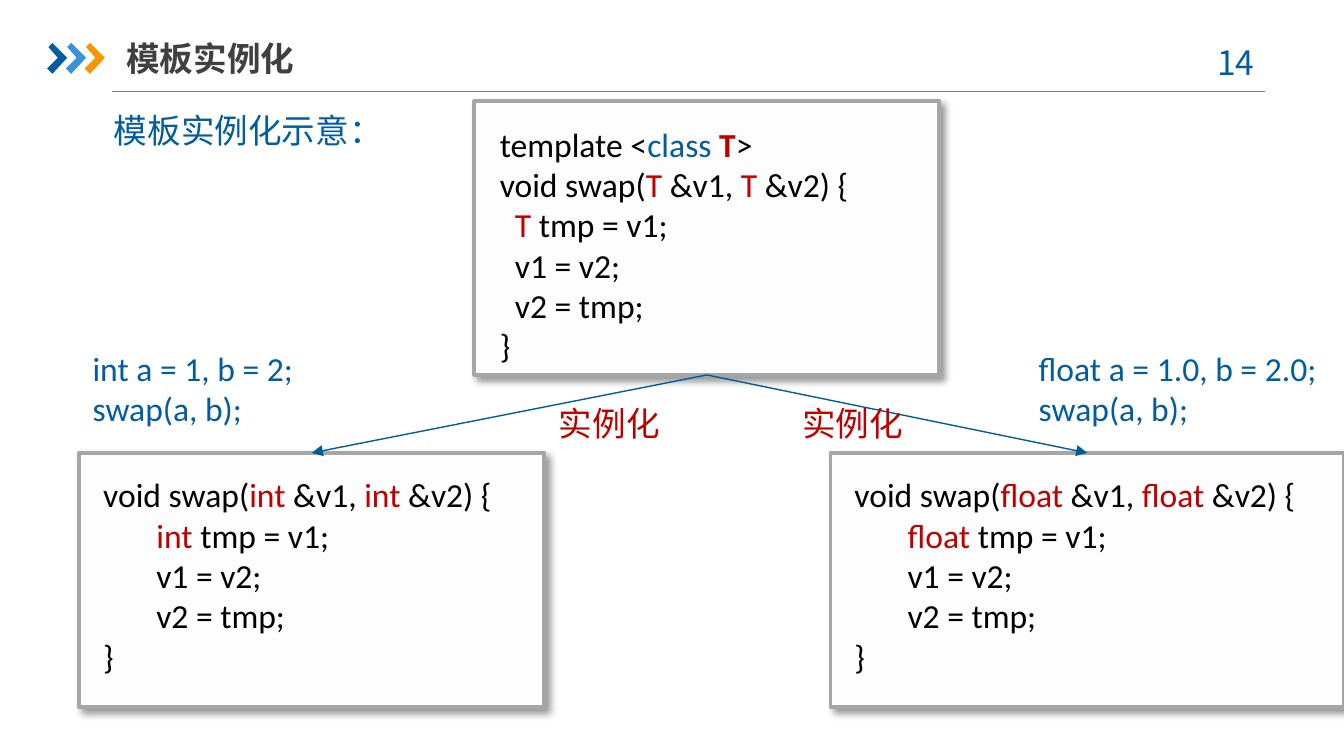
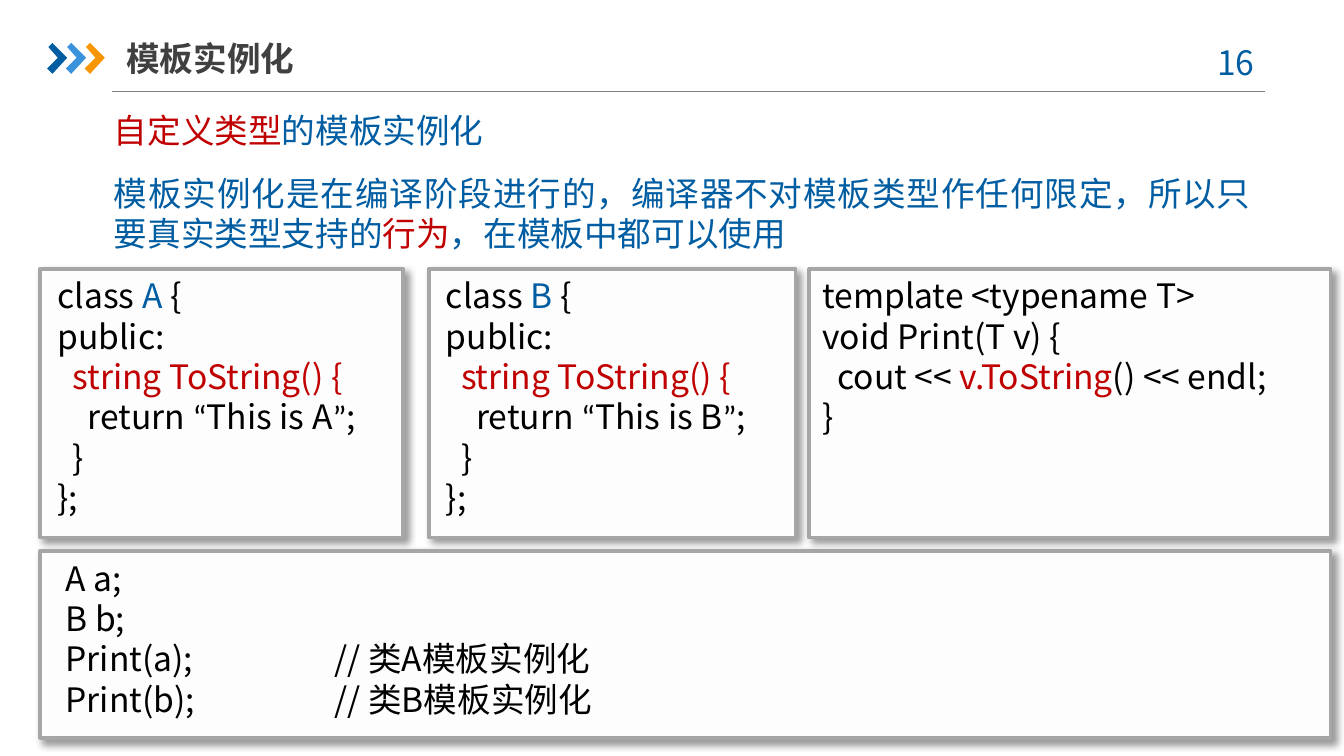
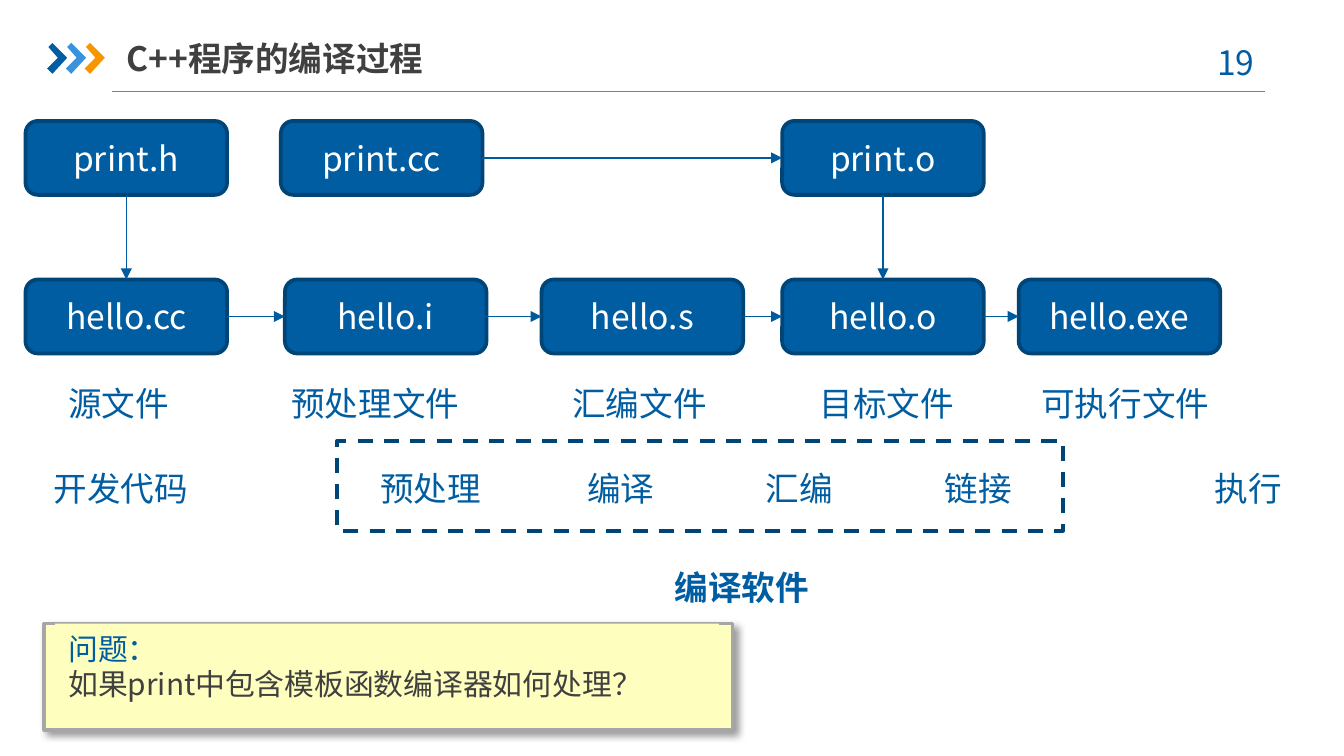
from lxml.etree import SubElement
from pptx import Presentation
from pptx.dml.color import RGBColor
from pptx.enum.dml import MSO_LINE
from pptx.enum.shapes import MSO_CONNECTOR, MSO_SHAPE
from pptx.enum.text import MSO_ANCHOR, PP_ALIGN
from pptx.oxml.ns import qn
from pptx.util import Inches, Pt

COLORS = {
    "blue": "005DA2", "sky": "3992DB", "orange": "F79600", "navy": "004578",
    "arrow": "005B9E", "red": "C00000", "black": "000000", "white": "FFFFFF",
    "title": "404040", "rule": "808080", "paper": "FDFDFD", "border": "A6A6A6",
    "note": "FEFFBE",
}
SANS = "Noto Sans CJK SC"
CODE = "Calibri"
TOP, LEFT, BOTTOM, RIGHT = range(4)


def rgb(name):
    """Return the named colour."""
    return RGBColor.from_string(COLORS[name])


def emu(box):
    """Convert a sequence of inches to lengths."""
    return [Inches(v) for v in box]


def red(text, **fmt):
    """Return a red run."""
    return text, {"color": "red", **fmt}


def blue(text):
    """Return a blue run."""
    return text, {"color": "blue"}


def quote(mark):
    """Return a quotation mark in the code font."""
    return mark, {"font": CODE}


def style_run(r, size=18, font=SANS, color="blue", bold=False):
    """Set the character format of a run."""
    r.font.size, r.font.name, r.font.bold = Pt(size), font, bold
    r.font.color.rgb = rgb(color)
    SubElement(r.font._element, qn("a:ea")).set("typeface", font)


def add_tabs(p, stops):
    """Set left tab stops on a paragraph."""
    tabs = SubElement(p._p.get_or_add_pPr(), qn("a:tabLst"))
    for stop in stops:
        SubElement(tabs, qn("a:tab"), pos=str(Inches(stop)), algn="l")


def write(sp, paras, align=PP_ALIGN.LEFT, anchor=MSO_ANCHOR.TOP,
          insets=(0.1, 0.05), after=0, tabs=(), **fmt):
    """Fill a shape with paragraphs of plain or formatted runs."""
    tf = sp.text_frame
    tf.word_wrap, tf.vertical_anchor = True, anchor
    tf.margin_left = tf.margin_right = Inches(insets[0])
    tf.margin_top = tf.margin_bottom = Inches(insets[1])
    for i, para in enumerate(paras):
        p = tf.add_paragraph() if i else tf.paragraphs[0]
        p.alignment, p.space_after = align, Pt(after)
        if tabs:
            add_tabs(p, tabs)
        for part in [para] if isinstance(para, str) else para:
            text, own = (part, {}) if isinstance(part, str) else part
            if text == "\n":
                p.add_line_break()
                continue
            r = p.add_run()
            r.text = text
            style_run(r, **{**fmt, **own})


def label(s, box, *paras, **fmt):
    """Add a text box."""
    write(s.shapes.add_textbox(*emu(box)), paras, **fmt)


def paint(sp, fill=None, line=None, width=2):
    """Set fill and outline and drop the theme shadow."""
    sp.shadow.inherit = False
    if fill:
        sp.fill.solid()
        sp.fill.fore_color.rgb = rgb(fill)
    else:
        sp.fill.background()
    if line:
        sp.line.color.rgb = rgb(line)
        sp.line.width = Pt(width)
    else:
        sp.line.fill.background()
    return sp


def add_shape(s, kind, box, **look):
    """Add a painted preset shape."""
    return paint(s.shapes.add_shape(kind, *emu(box)), **look)


def add_card(s, box, fill="paper"):
    """Add a bordered rectangle with a soft shadow."""
    sp = add_shape(s, MSO_SHAPE.RECTANGLE, box, fill=fill, line="border")
    effects = sp._element.spPr.find(qn("a:effectLst"))
    shadow = SubElement(effects, qn("a:outerShdw"), blurRad=str(Pt(4)),
                        dist=str(Pt(3)), dir="2700000", algn="tl", rotWithShape="0")
    color = SubElement(shadow, qn("a:srgbClr"), val=COLORS["black"])
    SubElement(color, qn("a:alpha"), val="40000")
    return sp


def add_line(s, start=(0, 0), end=(0, 0), color="arrow"):
    """Add a thin straight connector."""
    c = s.shapes.add_connector(MSO_CONNECTOR.STRAIGHT, *emu(start), *emu(end))
    c.line.color.rgb = rgb(color)
    c.line.width = Pt(0.75)
    SubElement(c._element.spPr, qn("a:effectLst"))
    return c


def add_arrow(s, source, source_side, target, target_side):
    """Join two shapes with an arrow."""
    c = add_line(s)
    c.begin_connect(source, source_side)
    c.end_connect(target, target_side)
    SubElement(c.line._get_or_add_ln(), qn("a:tailEnd"), type="triangle")


def add_code(s, box, lines, pad=(0.08, 0.11), font=CODE, **fmt):
    """Add a card with code lines inset by pad."""
    x, y, w, h = box
    dx, dy = pad
    card = add_card(s, box)
    label(s, (x + dx, y + dy, w - 2 * dx, h - 2 * dy), *lines,
          font=font, color="black", **fmt)
    return card


def add_chevron(s, x, y, color):
    """Add one chevron with its top left corner at x, y."""
    outline = [(0.01, 0.03), (0.04, 0), (0.15, 0.11), (0.04, 0.23), (0, 0.19), (0.08, 0.11)]
    points = [emu((x + dx, y + dy)) for dx, dy in outline]
    fb = s.shapes.build_freeform(*points[0], scale=1.0)
    fb.add_line_segments(points[1:], close=True)
    paint(fb.convert_to_shape(), fill=color)


def new_slide(prs, title, number, title_width=2.57):
    """Add a slide with rule, chevrons, page number and title."""
    s = prs.slides.add_slide(prs.slide_layouts[6])
    add_line(s, (0.83, 0.68), (9.41, 0.68), color="rule")
    for i, color in enumerate(("blue", "sky", "orange")):
        add_chevron(s, 0.35 + 0.14 * i, 0.32, color)
    label(s, (8.86, 0.26, 0.73, 0.4), f"{number} ", align=PP_ALIGN.CENTER)
    label(s, (0.94, 0.22, title_width, 0.42), title, color="title", bold=True,
          anchor=MSO_ANCHOR.MIDDLE, insets=(0, 0.05))
    return s


def swap_lines(kind):
    """Return the swap function for one concrete type."""
    indent = " " * 7
    return [["void swap(", red(kind), " &v1, ", red(kind), " &v2) {"],
            [indent, red(kind + " "), "tmp = v1;"],
            indent + "v1 = v2;", indent + "v2 = tmp;", "}"]


def class_lines(name):
    """Return the class that can print its own name."""
    return [["class ", blue(name), " {"], "public:", [red("  string ToString() {")],
            ["    return ", quote("“"), "This is " + name, quote("”"), ";"], "  }", "};"]


def instantiation_slide(prs):
    """Show one template turned into two functions."""
    s = new_slide(prs, "模板实例化", 14)
    label(s, (0.75, 0.77, 8.66, 0.4), "模板实例化示意：", align=PP_ALIGN.JUSTIFY, after=12)
    template = add_code(s, (3.53, 0.75, 3.46, 2.04), [
        ["template <", blue("class "), red("T", bold=True), ">"],
        ["void swap(", red("T"), " &v1, ", red("T"), " &v2) {"],
        ["  ", red("T "), "tmp = v1;"], "  v1 = v2;", "  v2 = tmp;", "}"], pad=(0.09, 0.12))
    for kind, x, w, call_x, call, tag_x in (
            ("int", 0.59, 3.46, 0.59, "int a = 1, b = 2;", 4.06),
            ("float", 6.18, 3.82, 7.63, "float a = 1.0, b = 2.0;", 5.87)):
        function = add_code(s, (x, 3.37, w, 1.89), swap_lines(kind))
        label(s, (call_x, 2.54, 2.31, 0.71), call, "swap(a, b);", font=CODE)
        add_arrow(s, template, BOTTOM, function, TOP)
        label(s, (tag_x, 2.95, 1.29, 0.4), "实例化", color="red")


def custom_type_slide(prs):
    """Show templates used with custom classes."""
    s = new_slide(prs, "模板实例化", 16)
    label(s, (0.75, 0.77, 8.66, 1.18),
          [red("自定义类型"), "的模板实例化"],
          ["模板实例化是在编译阶段进行的，编译器不对模板类型作任何限定，所以只要真实类型支持的",
           red("行为"), "，在模板中都可以使用"],
          align=PP_ALIGN.JUSTIFY, after=12)
    for name, x, w in (("A", 0.3, 2.7), ("B", 3.19, 2.73)):
        add_code(s, (x, 2, w, 2), class_lines(name), pad=(0.03, 0), font=SANS)
    add_code(s, (0.3, 4.1, 9.6, 1.39), [
        "A a;", "B b;", "Print(a);\t\t// 类A模板实例化", "Print(b);\t\t// 类B模板实例化"],
        pad=(0.09, 0), font=SANS, tabs=(1, 2))
    add_code(s, (6.02, 2, 3.88, 2), [
        "template <typename T>", "void Print(T v) {",
        ["  cout << ", red("v.ToString"), "() << endl;"], "}"], pad=(0, 0), font=SANS)


def add_file(s, x, y, name):
    """Add a rounded box for one file."""
    sp = add_shape(s, MSO_SHAPE.ROUNDED_RECTANGLE, (x, y, 1.5, 0.55), fill="blue", line="navy")
    write(sp, [name], color="white", align=PP_ALIGN.CENTER, anchor=MSO_ANCHOR.MIDDLE)
    return sp


def add_file_flow(s, top):
    """Add both rows of files, their arrows and captions below top."""
    stages = [("hello.cc", 0.19, "源文件", 0.41), ("hello.i", 2.12, "预处理文件", 2.07),
              ("hello.s", 4.03, "汇编文件", 4.16), ("hello.o", 5.82, "目标文件", 6),
              ("hello.exe", 7.58, "可执行文件", 7.65)]
    row = []
    for name, x, caption, caption_x in stages:
        row.append(add_file(s, x, top + 1.18, name))
        label(s, (caption_x, top + 1.9, 1.5, 0.4), caption)
    header, source, target = [add_file(s, x, top, name) for x, name in (
        (0.19, "print.h"), (2.09, "print.cc"), (5.82, "print.o"))]
    for left, right in [*zip(row, row[1:]), (source, target)]:
        add_arrow(s, left, RIGHT, right, LEFT)
    for upper, lower in ((header, row[0]), (target, row[3])):
        add_arrow(s, upper, BOTTOM, lower, TOP)


def add_steps(s, top):
    """Add the step names and the dashed frame of the compiler."""
    for x, step in ((0.3, "开发代码"), (2.73, "预处理"), (4.27, "编译"),
                    (5.6, "汇编"), (6.93, "链接"), (8.94, "执行")):
        label(s, (x, top + 0.15, 0.32 + 0.25 * len(step), 0.4), step)
    frame = add_shape(s, MSO_SHAPE.RECTANGLE, (2.51, top, 5.4, 0.67), line="navy")
    frame.line.dash_style = MSO_LINE.DASH
    label(s, (4.92, top + 0.89, 1.25, 0.4), "编译软件", bold=True)


def add_question(s, x, y):
    """Add the yellow question note."""
    add_card(s, (x, y, 5.12, 0.79), fill="note")
    sp = add_shape(s, MSO_SHAPE.RECTANGLE, (x + 0.08, y, 4.94, 0.64), fill="note")
    write(sp, [[blue("问题："), "\n", "如果print中包含模板函数编译器如何处理？"]],
          size=16, color="title", after=6)


def compile_slide(prs):
    """Show the path from source files to a program."""
    s = new_slide(prs, "C++程序的编译过程", 19, title_width=3.15)
    add_file_flow(s, 0.9)
    add_steps(s, 3.28)
    add_question(s, 0.33, 4.64)


def main():
    """Build and save the slides."""
    prs = Presentation()
    prs.slide_width = Inches(10)
    prs.slide_height = Inches(10 * 9 / 16)
    instantiation_slide(prs)
    custom_type_slide(prs)
    compile_slide(prs)
    prs.save("out.pptx")


if __name__ == "__main__":
    main()
